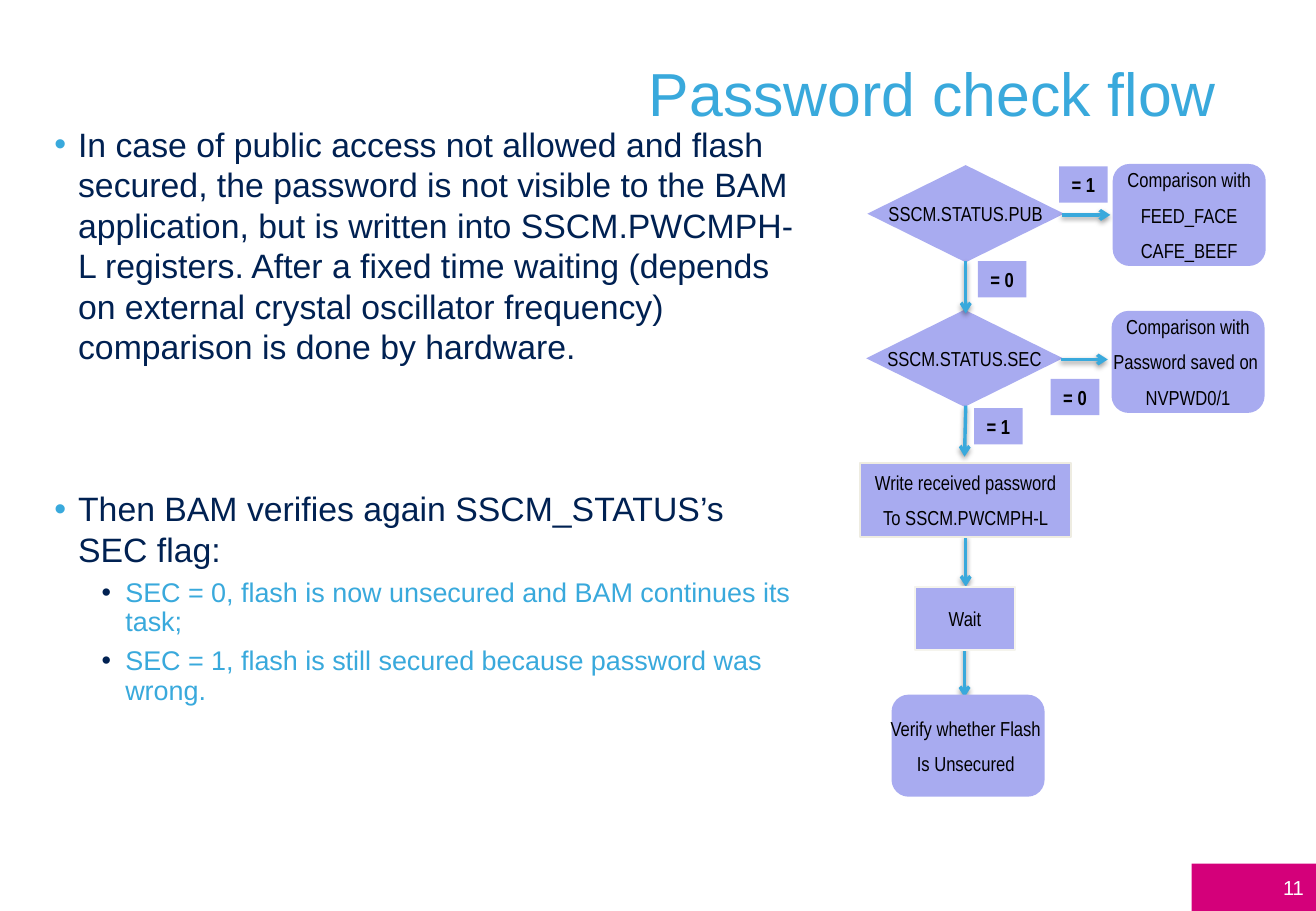
import pptx
import pptx.dml.color
import pptx.enum.shapes
import pptx.enum.text
import pptx.oxml
import pptx.oxml.ns
import pptx.util

Pt = pptx.util.Pt
SHAPE = pptx.enum.shapes.MSO_SHAPE
ALIGN = pptx.enum.text.PP_ALIGN
ANCHOR = pptx.enum.text.MSO_ANCHOR
BLUE, NAVY, LILAC, MAGENTA = "39A9DC", "002152", "A8ABF0", "D4007A"
BLACK, WHITE = "000000", "FFFFFF"
NAMESPACE = pptx.oxml.ns.nsdecls("a")


def colour(value):
    return pptx.dml.color.RGBColor.from_string(value)


def add_xml(parent, text):
    parent.append(pptx.oxml.parse_xml(text))


def write(frame, text, size=12, font="Arial", color=BLACK, bold=False,
          align=ALIGN.LEFT, before=0, after=0, spacing=None,
          bullet=None, indent=0, level=0):
    """Write one paragraph, using the empty first one when there is one."""
    paragraph = frame.paragraphs[0]
    if paragraph.runs:
        paragraph = frame.add_paragraph()
    paragraph.alignment = align
    paragraph.level = level
    paragraph.space_before, paragraph.space_after = Pt(before), Pt(after)
    if spacing:
        paragraph.line_spacing = spacing
    if bullet:
        properties = paragraph._p.get_or_add_pPr()
        properties.set("marL", str(Pt(indent)))
        properties.set("indent", str(-Pt(14)))
        add_xml(properties, f'<a:buClr {NAMESPACE}><a:srgbClr val="{bullet}"/></a:buClr>')
        add_xml(properties, f'<a:buFont {NAMESPACE} typeface="Arial"/>')
        add_xml(properties, f'<a:buChar {NAMESPACE} char="•"/>')
    run = paragraph.add_run()
    run.text = text
    run.font.size, run.font.name, run.font.bold = Pt(size), font, bold
    run.font.color.rgb = colour(color)


def add_text_box(slide, box, anchor=ANCHOR.TOP):
    frame = slide.shapes.add_textbox(*map(Pt, box)).text_frame
    frame.word_wrap = True
    frame.vertical_anchor = anchor
    return frame


def add_block(slide, kind, box, fill, line=None, anchor=ANCHOR.MIDDLE):
    shape = slide.shapes.add_shape(kind, *map(Pt, box))
    shape.shadow.inherit = False
    shape.fill.solid()
    shape.fill.fore_color.rgb = colour(fill)
    if line:
        shape.line.color.rgb = colour(line)
        shape.line.width = Pt(1.25)
    else:
        shape.line.fill.background()
    shape.text_frame.word_wrap = False
    shape.text_frame.vertical_anchor = anchor
    return shape


def add_arrow(slide, start, end):
    arrow = slide.shapes.add_connector(
        pptx.enum.shapes.MSO_CONNECTOR.STRAIGHT, *map(Pt, start + end))
    arrow.line.color.rgb = colour(BLUE)
    arrow.line.width = Pt(2)
    add_xml(arrow.line._get_or_add_ln(), f'<a:tailEnd {NAMESPACE} type="arrow"/>')
    add_xml(arrow._element.spPr,
            f'<a:effectLst {NAMESPACE}><a:outerShdw blurRad="{Pt(3.1)}" '
            f'dist="{Pt(1.6)}" dir="5400000" rotWithShape="0">'
            f'<a:srgbClr val="{BLACK}"><a:alpha val="38000"/></a:srgbClr>'
            '</a:outerShdw></a:effectLst>')


def add_title(slide, box):
    frame = add_text_box(slide, box, ANCHOR.MIDDLE)
    write(frame, "Password check flow", size=36, color=BLUE, align=ALIGN.RIGHT)


def add_body(slide, box):
    frame = add_text_box(slide, box)
    main = dict(size=20, color=NAVY, after=6, bullet=BLUE, indent=14)
    detail = dict(size=16, color=BLUE, after=6, bullet=NAVY, indent=42,
                  level=1, spacing=0.9)
    write(frame, "In case of public access not allowed and flash secured, the "
          "password is not visible to the BAM application, but is written into "
          "SSCM.PWCMPH-L registers. After a fixed time waiting (depends on "
          "external crystal oscillator frequency) comparison is done by hardware.",
          before=18, **main)
    write(frame, "Then BAM verifies again SSCM_STATUS’s SEC flag:", before=66, **main)
    write(frame, "SEC = 0, flash is now unsecured and BAM continues its task;", **detail)
    write(frame, "SEC = 1, flash is still secured because password was wrong.", **detail)


def add_page_number(slide, box):
    shape = add_block(slide, SHAPE.RECTANGLE, box, MAGENTA)
    write(shape.text_frame, "11", color=WHITE, align=ALIGN.RIGHT)


def add_flowchart(slide, box):
    left, top = box[:2]

    def add_node(kind, center, y, width, height, lines, line=None,
                 bold=False, anchor=ANCHOR.MIDDLE):
        place = (left + center - width / 2, top + y, width, height)
        shape = add_block(slide, kind, place, LILAC, line, anchor)
        for text in lines:
            write(shape.text_frame, text, font="Arial Narrow", bold=bold,
                  align=ALIGN.CENTER, before=6.5)

    # Decisions
    for center, y, text in ((62.8, 0.7, "SSCM.STATUS.PUB"),
                            (62.1, 86.4, "SSCM.STATUS.SEC")):
        add_node(SHAPE.DIAMOND, center, y, 116.6, 57.6, [text])

    # Branch labels
    for center, y, text in ((132.6, 1.4, "= 1"), (84.4, 57.6, "= 0"),
                            (127.6, 127.4, "= 0"), (82.2, 144.7, "= 1")):
        add_node(SHAPE.RECTANGLE, center, y, 28.8, 21.6, [text],
                 bold=True, anchor=ANCHOR.TOP)

    # Arrows
    for x1, y1, x2, y2 in ((119.7, 30.2, 148.5, 30.2), (119, 115.9, 147, 115.9),
                           (62.8, 57.6, 62.8, 88.6), (62.8, 143.3, 62.1, 173.5),
                           (62.8, 220.3, 62.8, 250.6), (62.1, 285.1, 62.1, 316.1)):
        add_arrow(slide, (left + x1, top + y1), (left + x2, top + y2))

    # Steps
    add_node(SHAPE.RECTANGLE, 62.8, 177.1, 125.3, 43.9,
             ["Write received password", "To SSCM.PWCMPH-L"], line="EEECE1")
    add_node(SHAPE.RECTANGLE, 62.4, 250.6, 59.8, 37.4, ["Wait"], line="F5F4ED")

    # Outcomes
    for center, y, lines in (
            (195.3, 0, ["Comparison with", "FEED_FACE", "CAFE_BEEF"]),
            (194.6, 87.1, ["Comparison with", "Password saved on ", "NVPWD0/1"]),
            (64.2, 314.6, ["Verify whether Flash ", "Is Unsecured "])):
        add_node(SHAPE.ROUNDED_RECTANGLE, center, y, 90.7, 60.5, lines)


def main():
    presentation = pptx.Presentation()
    presentation.slide_width, presentation.slide_height = Pt(780), Pt(540)
    slide = presentation.slides.add_slide(presentation.slide_layouts[6])
    add_title(slide, (38.9, 9.4, 689, 90))
    add_body(slide, (25.2, 69.8, 457.2, 436.3))
    add_page_number(slide, (706.3, 511.9, 73.7, 28.1))
    add_flowchart(slide, (509.6, 97.2, 240.5, 375.1))
    presentation.save("out.pptx")


if __name__ == "__main__":
    main()
